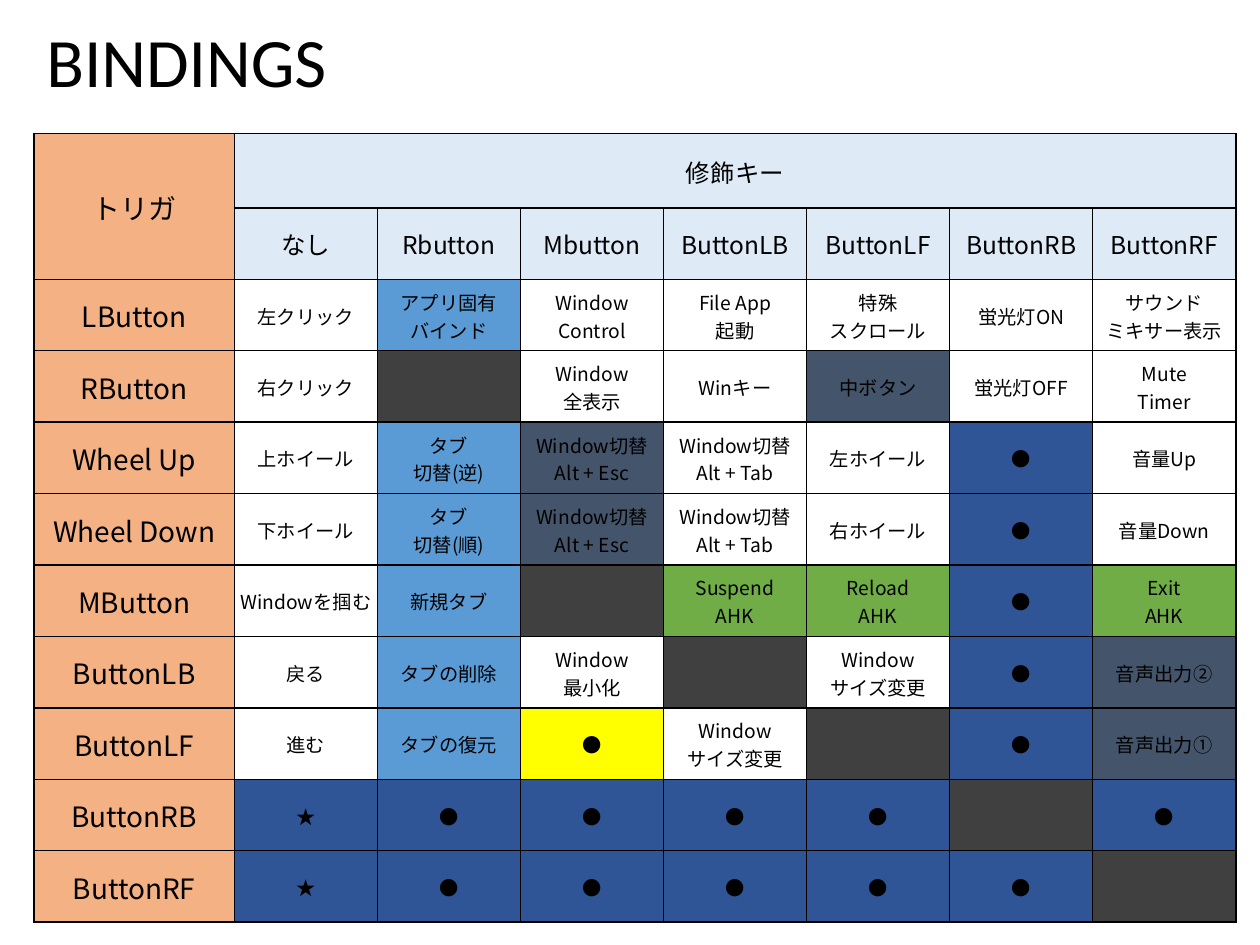
from lxml.etree import SubElement
from pptx import Presentation
from pptx.dml.color import RGBColor
from pptx.enum.text import MSO_ANCHOR as Anchor, PP_ALIGN as Align
from pptx.oxml import parse_xml
from pptx.oxml.ns import nsdecls, qn
from pptx.util import Inches, Pt

TABLE_FONT = "Noto Sans CJK JP"
BLACK = "000000"
ORANGE = "F4B183"
PALE_BLUE = "DEEBF7"
FILLS = {
    "W": "FFFFFF",
    "B": "5B9BD5",
    "S": "44546A",
    "N": "2F5597",
    "G": "70AD47",
    "Y": "FFFF00",
    "X": "404040",
}

TABLE_WIDTH, TABLE_HEIGHT = 9.54, 6.26
TRIGGER_WIDTH, TOP_ROW_HEIGHT = 1.59, 0.59

MODIFIERS = ["なし", "Rbutton", "Mbutton", "ButtonLB", "ButtonLF", "ButtonRB", "ButtonRF"]

# Trigger, fill code of each cell, text of each cell
BINDINGS = [
    ("LButton", "WBWWWWW",
     ["左クリック", "アプリ固有\nバインド", "Window\vControl", "File App\n起動",
      "特殊\nスクロール", "蛍光灯ON", "サウンド\nミキサー表示"]),
    ("RButton", "WXWWSWW",
     ["右クリック", "", "Window\n全表示", "Winキー", "中ボタン", "蛍光灯OFF", "Mute\nTimer"]),
    ("Wheel Up", "WBSWWNW",
     ["上ホイール", "タブ\n切替(逆)", "Window切替\nAlt + Esc", "Window切替\nAlt + Tab",
      "左ホイール", "●", "音量Up"]),
    ("Wheel Down", "WBSWWNW",
     ["下ホイール", "タブ\n切替(順)", "Window切替\nAlt + Esc", "Window切替\nAlt + Tab",
      "右ホイール", "●", "音量Down"]),
    ("MButton", "WBXGGNG",
     ["Windowを掴む", "新規タブ", "", "Suspend\nAHK", "Reload\nAHK", "●", "Exit\nAHK"]),
    ("ButtonLB", "WBWXWNS",
     ["戻る", "タブの削除", "Window\n最小化", "", "Window\nサイズ変更", "●", "音声出力②"]),
    ("ButtonLF", "WBYWXNS",
     ["進む", "タブの復元", "●", "Window\nサイズ変更", "", "●", "音声出力①"]),
    ("ButtonRB", "NNNNNXN", ["★", "●", "●", "●", "●", "", "●"]),
    ("ButtonRF", "NNNNNNX", ["★", "●", "●", "●", "●", "●", ""]),
]


def rgb(color):
    return RGBColor.from_string(color)


def style_font(font, name, size):
    """Set the face for Latin and East Asian text alike."""
    font.name = name
    font.size = Pt(size)
    font.color.rgb = rgb(BLACK)
    SubElement(font._element, qn("a:ea"), typeface=name)


def add_title(slide, text):
    shape = slide.shapes.add_textbox(Inches(0.27), Inches(0.18), Inches(2.94), Inches(0.67))
    frame = shape.text_frame
    frame.word_wrap = True
    frame.vertical_anchor = Anchor.MIDDLE
    frame.text = text
    paragraph = frame.paragraphs[0]
    paragraph.line_spacing = 0.9
    style_font(paragraph.font, "Calibri", 39.6)


def add_borders(cell):
    properties = cell._tc.get_or_add_tcPr()
    for position, side in enumerate(("lnL", "lnR", "lnT", "lnB")):
        properties.insert(position, parse_xml(
            f'<a:{side} {nsdecls("a")} w="{Pt(1)}"><a:solidFill>'
            f'<a:srgbClr val="{BLACK}"/></a:solidFill></a:{side}>'))


def fill_cell(cell, text, size, color):
    cell.fill.solid()
    cell.fill.fore_color.rgb = rgb(color)
    cell.margin_left = cell.margin_right = cell.margin_top = Inches(0.01)
    cell.margin_bottom = 0
    cell.vertical_anchor = Anchor.MIDDLE
    cell.text_frame.text = text
    for paragraph in cell.text_frame.paragraphs:
        paragraph.alignment = Align.CENTER
        style_font(paragraph.font, TABLE_FONT, size)


def add_grid(slide):
    """Add the empty table with its column widths, row heights and borders."""
    row_count, column_count = len(BINDINGS) + 2, len(MODIFIERS) + 1
    table = slide.shapes.add_table(
        row_count, column_count, Inches(0.27), Inches(1.06),
        Inches(TABLE_WIDTH), Inches(TABLE_HEIGHT)).table
    table.first_row = table.horz_banding = False
    for column in table.columns:
        column.width = Inches((TABLE_WIDTH - TRIGGER_WIDTH) / (column_count - 1))
    for row in table.rows:
        row.height = Inches((TABLE_HEIGHT - TOP_ROW_HEIGHT) / (row_count - 1))
    table.columns[0].width = Inches(TRIGGER_WIDTH)
    table.rows[0].height = Inches(TOP_ROW_HEIGHT)
    for cell in table.iter_cells():
        add_borders(cell)
    return table


def fill_headers(table):
    table.cell(0, 0).merge(table.cell(1, 0))
    table.cell(0, 1).merge(table.cell(0, len(MODIFIERS)))
    fill_cell(table.cell(0, 0), "トリガ", 16, ORANGE)
    fill_cell(table.cell(0, 1), "修飾キー", 14, PALE_BLUE)
    for column, modifier in enumerate(MODIFIERS, start=1):
        fill_cell(table.cell(1, column), modifier, 14, PALE_BLUE)


def fill_bindings(table):
    for row, (trigger, codes, actions) in enumerate(BINDINGS, start=2):
        fill_cell(table.cell(row, 0), trigger, 16, ORANGE)
        for column, (code, action) in enumerate(zip(codes, actions), start=1):
            fill_cell(table.cell(row, column), action, 11, FILLS[code])


def main():
    presentation = Presentation()
    presentation.slide_width = Inches(10)
    presentation.slide_height = Inches(7.5)
    slide = presentation.slides.add_slide(presentation.slide_layouts[6])
    add_title(slide, "BINDINGS")
    table = add_grid(slide)
    fill_headers(table)
    fill_bindings(table)
    presentation.save("out.pptx")


if __name__ == "__main__":
    main()
